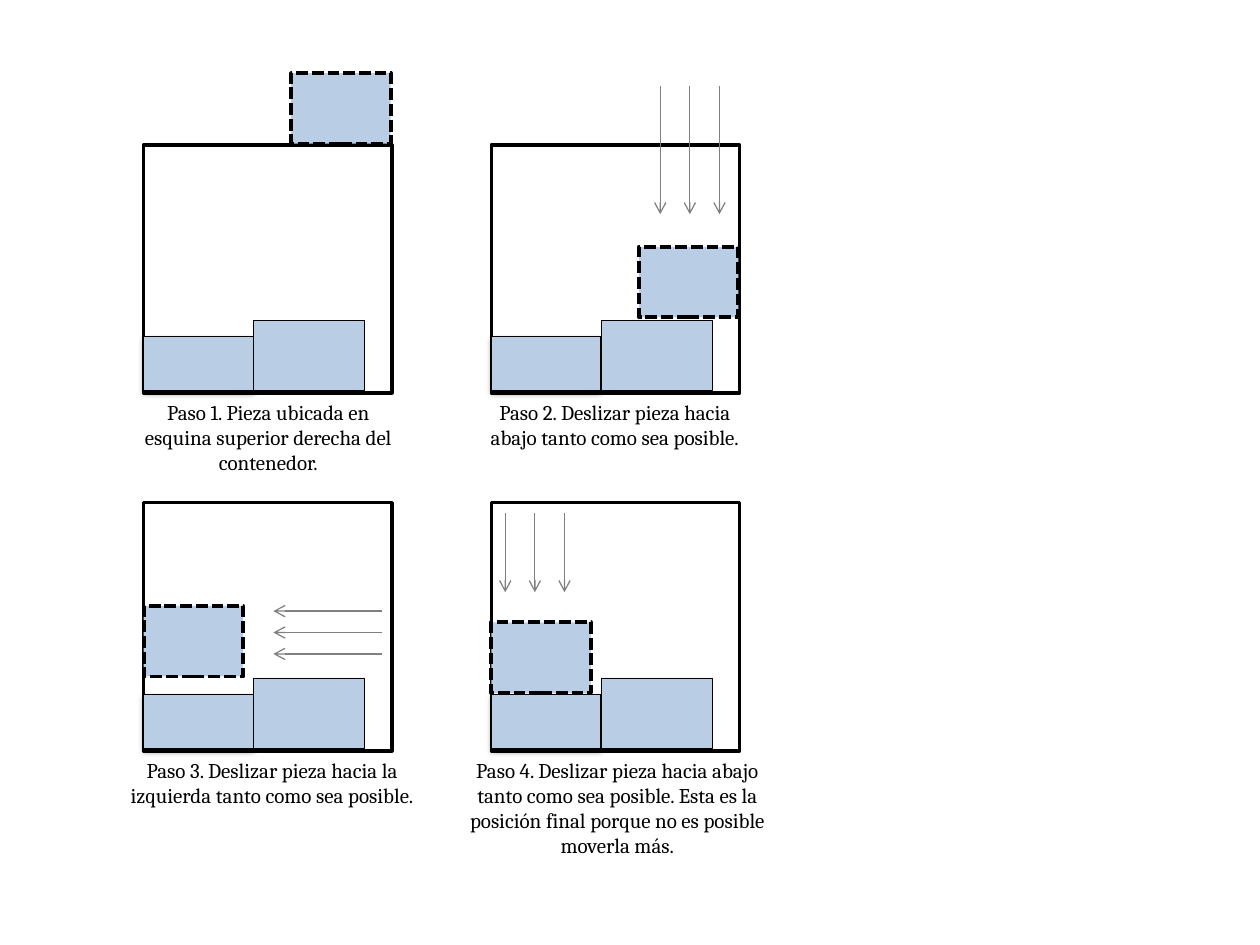
import pptx
import pptx.util
import pptx.dml.color
import pptx.enum.dml
import pptx.enum.shapes
import pptx.enum.text
import pptx.oxml
import pptx.oxml.ns
from pptx.util import Inches, Pt

# Every place is measured from the top left corner of its container.
SIDE = 1.97
LEFTS, TOPS = (1.14, 3.9), (1.15, 3.99)
LOW = (0, 1.52, 0.87, 0.43)
HIGH = (0.87, 1.39, 0.88, 0.56)
PIECE = (0.79, 0.56)
BLUE, BLACK, GREY, WHITE = "B9CDE5", "000000", "808080", "FFFFFF"

# arrows: start of the first, run of each, gap to the next
STEPS = [
    {"text": "Paso 1. Pieza ubicada en esquina superior derecha del contenedor.",
     "box": (-0.19, 2.36, 0.71), "piece": (1.17, -0.57), "arrows": None},
    {"text": "Paso 2. Deslizar pieza hacia abajo tanto como sea posible.",
     "box": (-0.21, 2.38, 0.5), "piece": (1.17, 0.81),
     "arrows": ((1.34, -0.47), (0, 1.02), (0.235, 0))},
    {"text": "Paso 3. Deslizar pieza hacia la izquierda tanto como sea posible.",
     "box": (-0.25, 2.54, 0.71), "piece": (0, 0.82),
     "arrows": ((1.89, 0.86), (-0.86, 0), (0, 0.17))},
    {"text": "Paso 4. Deslizar pieza hacia abajo tanto como sea posible. "
             "Esta es la posición final porque no es posible moverla más.",
     "box": (-0.38, 2.76, 0.91), "piece": (0, 0.95),
     "arrows": ((0.11, 0.08), (0, 0.63), (0.235, 0))},
]

SHADOW = ('<a:effectLst %s><a:outerShdw blurRad="%d" dist="%d" dir="5400000" '
          'rotWithShape="0"><a:srgbClr val="000000"><a:alpha val="35000"/>'
          '</a:srgbClr></a:outerShdw></a:effectLst>')

deck = pptx.Presentation()
deck.slide_width, deck.slide_height = Inches(10), Inches(7.5)
shapes = deck.slides.add_slide(deck.slide_layouts[6]).shapes


def color(code):
    return pptx.dml.color.RGBColor.from_string(code)


def rect(x, y, w, h, fill, width):
    shape = shapes.add_shape(pptx.enum.shapes.MSO_SHAPE.RECTANGLE,
                             Inches(x), Inches(y), Inches(w), Inches(h))
    shape.shadow.inherit = False
    shape.fill.solid()
    shape.fill.fore_color.rgb = color(fill)
    shape.line.color.rgb = color(BLACK)
    shape.line.width = Pt(width)
    return shape


def shade(shape):
    """Give the shape a soft shadow below it."""
    props = shape._element.spPr
    props.remove(props.find(pptx.oxml.ns.qn("a:effectLst")))
    props.append(pptx.oxml.parse_xml(
        SHADOW % (pptx.oxml.ns.nsdecls("a"), Pt(3.1), Pt(1.8))))


def arrow(x, y, dx, dy):
    line = shapes.add_connector(pptx.enum.shapes.MSO_CONNECTOR.STRAIGHT,
                                Inches(x), Inches(y), Inches(x + dx), Inches(y + dy))
    line.line.color.rgb = color(GREY)
    line.line.width = Pt(0.75)
    space = pptx.oxml.ns.nsdecls("a")
    line.line._get_or_add_ln().append(
        pptx.oxml.parse_xml(f'<a:tailEnd {space} type="arrow"/>'))
    line._element.spPr.append(pptx.oxml.parse_xml(f"<a:effectLst {space}/>"))


def caption(x, y, w, h, text):
    frame = shapes.add_textbox(Inches(x), Inches(y), Inches(w), Inches(h)).text_frame
    frame.word_wrap = True
    frame.auto_size = pptx.enum.text.MSO_AUTO_SIZE.SHAPE_TO_FIT_TEXT
    para = frame.paragraphs[0]
    para.text = text
    para.alignment = pptx.enum.text.PP_ALIGN.CENTER
    para.font.name, para.font.size = "Cambria", Pt(12)
    para.font.color.rgb = color(BLACK)


for i, step in enumerate(STEPS):
    x, y = LEFTS[i % 2], TOPS[i // 2]
    rect(x, y, SIDE, SIDE, WHITE, 2)
    for (dx, dy, w, h), width in ((LOW, 0.75), (HIGH, 0.25)):
        block = rect(x + dx, y + dy, w, h, BLUE, width)
        if dx == 0:
            shade(block)
    dx, dy = step["piece"]
    piece = rect(x + dx, y + dy, *PIECE, BLUE, 2.25)
    piece.line.dash_style = pptx.enum.dml.MSO_LINE.SQUARE_DOT
    if step["arrows"]:
        start, run, gap = step["arrows"]
        for n in range(3):
            arrow(x + start[0] + n * gap[0], y + start[1] + n * gap[1], *run)
    dx, w, h = step["box"]
    caption(x + dx, y + SIDE, w, h, step["text"])

deck.save("out.pptx")
